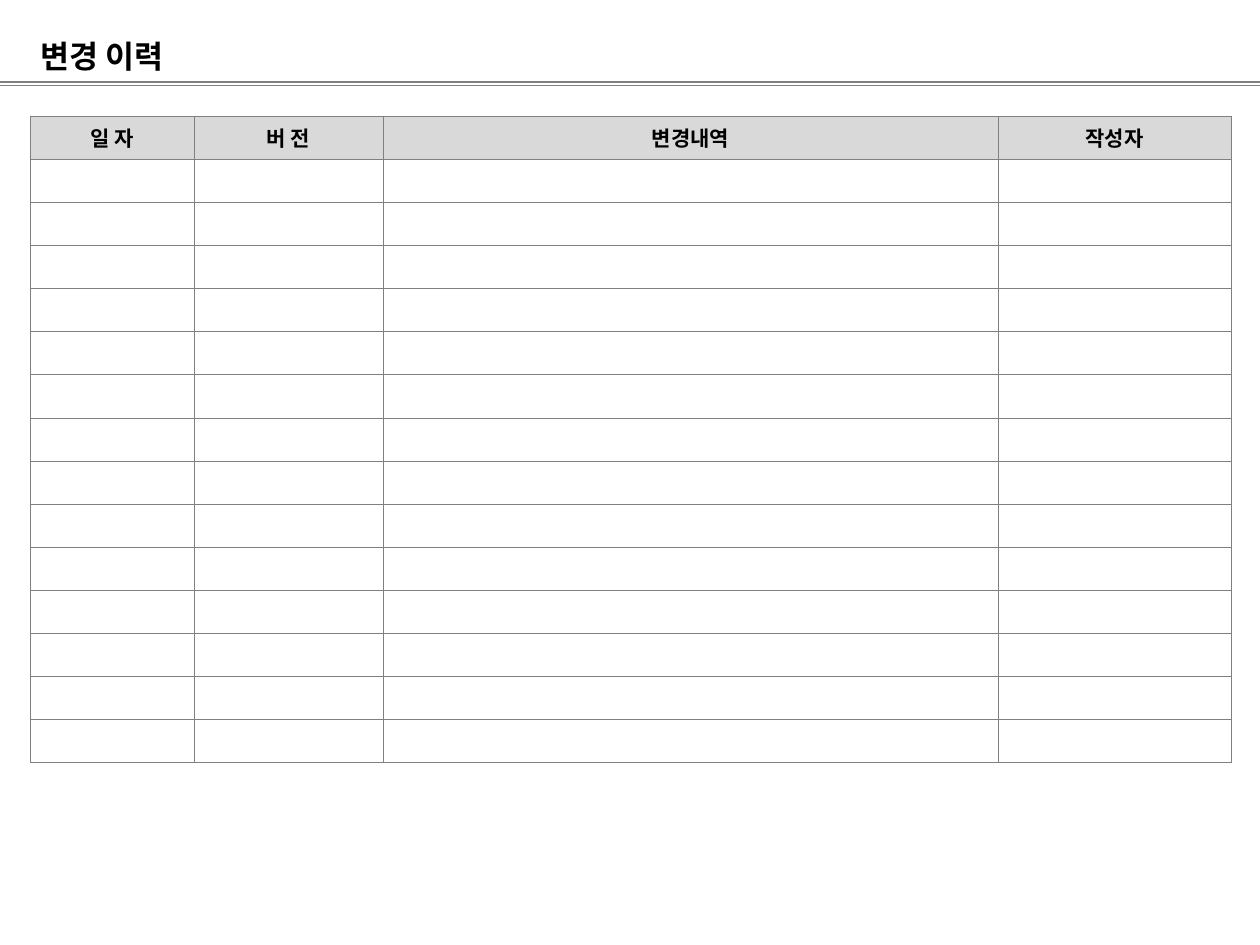
from lxml import etree
from pptx import Presentation
from pptx.dml.color import RGBColor
from pptx.enum import shapes, text
from pptx.oxml.ns import qn
from pptx.util import Inches, Pt

FONT = "Noto Sans CJK KR"
COLORS = {"ink": "000000", "rule": "808080", "header": "D9D9D9"}
HEADERS = ["일 자", "버 전", "변경내역", "작성자"]
COLUMN_WIDTHS = [1.3, 1.5, 4.88, 1.85]
ROW_COUNT = 15
ROW_HEIGHT = 0.34


def write(frame, words, size=12, align=text.PP_ALIGN.CENTER):
    """Write bold text, or set the font of an empty paragraph."""
    frame.vertical_anchor = text.MSO_ANCHOR.MIDDLE
    para = frame.paragraphs[0] if hasattr(frame, "paragraphs") else frame.text_frame.paragraphs[0]
    para.alignment = align
    if words:
        span = para.add_run()
        span.text = words
        span.font.size = Pt(size)
        span.font.bold = True
        span.font.color.rgb = RGBColor.from_string(COLORS["ink"])
        props = span.font._element
    else:
        props = etree.SubElement(para._p, qn("a:endParaRPr"), sz=str(size * 100))
    for script in ("a:latin", "a:ea"):
        etree.SubElement(props, qn(script), typeface=FONT)


def add_borders(cell, color, width):
    """Draw all four edges of a table cell."""
    props = cell._tc.get_or_add_tcPr()
    for index, side in enumerate(("lnL", "lnR", "lnT", "lnB")):
        edge = etree.Element(qn(f"a:{side}"), w=str(Pt(width)))
        fill = etree.SubElement(edge, qn("a:solidFill"))
        etree.SubElement(fill, qn("a:srgbClr"), val=color)
        props.insert(index, edge)


deck = Presentation()
deck.slide_width, deck.slide_height = Inches(10), Inches(7.5)
page = deck.slides.add_slide(deck.slide_layouts[5])

# Double rule under the title
for y in (0.65, 0.68):
    rule = page.shapes.add_connector(
        shapes.MSO_CONNECTOR.STRAIGHT, Inches(0), Inches(y), Inches(10), Inches(y))
    rule.line.color.rgb = RGBColor.from_string(COLORS["rule"])
    rule.line.width = Pt(0.75)
    etree.SubElement(rule._element.spPr, qn("a:effectLst"))

# Title
title = page.shapes.title
title.left, title.top = Inches(0.22), Inches(0.21)
title.width, title.height = Inches(9.37), Inches(0.47)
write(title.text_frame, "변경 이력", size=18, align=text.PP_ALIGN.LEFT)

# Change history table
table = page.shapes.add_table(
    ROW_COUNT, len(HEADERS), Inches(0.24), Inches(0.92),
    Inches(sum(COLUMN_WIDTHS)), Inches(ROW_COUNT * ROW_HEIGHT)).table
table.horz_banding = False
for column, width in zip(table.columns, COLUMN_WIDTHS):
    column.width = Inches(width)
for number, row in enumerate(table.rows):
    row.height = Inches(ROW_HEIGHT)
    for cell, header in zip(row.cells, HEADERS):
        if number == 0:
            cell.fill.solid()
            cell.fill.fore_color.rgb = RGBColor.from_string(COLORS["header"])
        else:
            cell.fill.background()
        write(cell, header if number == 0 else "")
        add_borders(cell, COLORS["rule"], 0.25)

deck.save("out.pptx")
